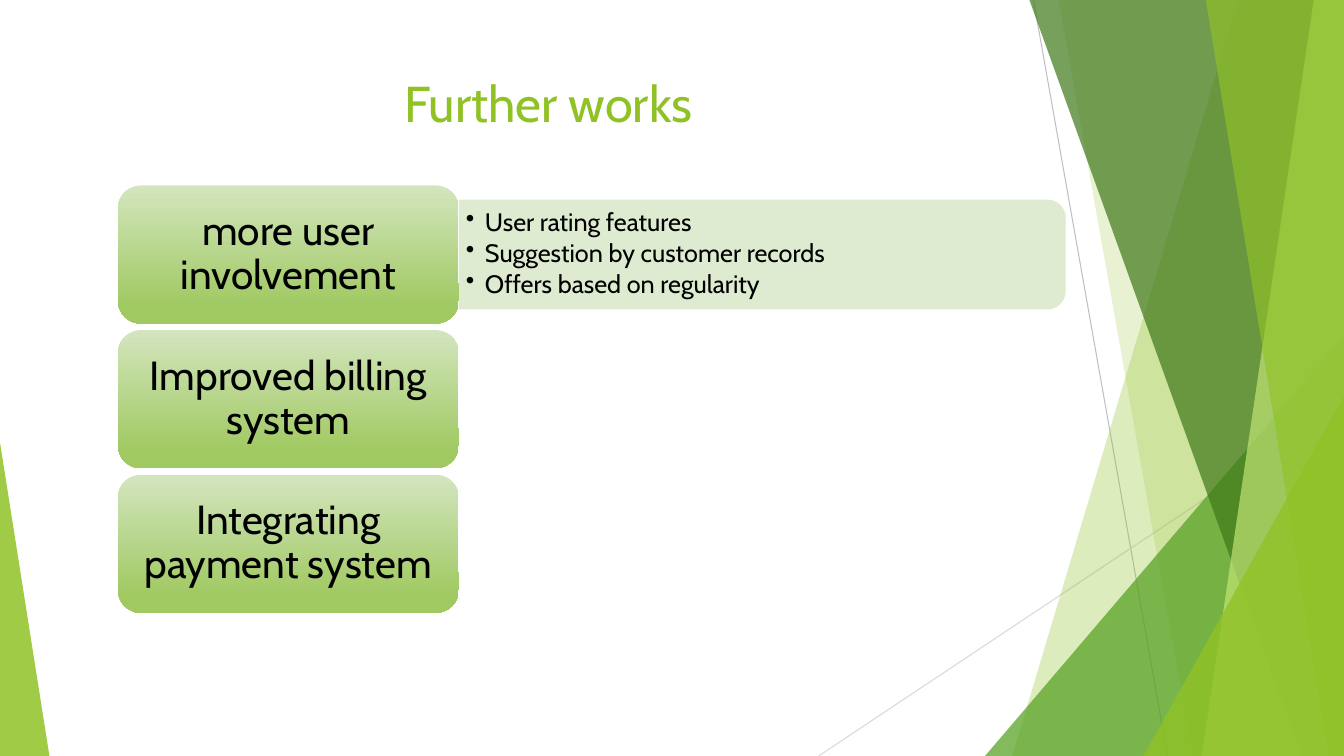
from pptx import Presentation
from pptx.dml.color import RGBColor
from pptx.enum.shapes import MSO_CONNECTOR, MSO_SHAPE as SHAPE
from pptx.enum.text import MSO_ANCHOR as ANCHOR, PP_ALIGN as ALIGN
from pptx.oxml.ns import qn
from pptx.util import Inches, Pt
from lxml.etree import SubElement

W, H = 13.33, 7.5
FONT = "Cabin"
GREEN, PANEL, BLACK = "90C226", "DBE9CD", "000000"

TITLE = "Further works"
TOPICS = ["more user involvement", "Improved billing system",
          "Integrating payment system"]
DETAILS = ["User rating features", "Suggestion by customer records",
           "Offers based on regularity"]

RULES = [((10.25, 0), (11.58, H), "BFBFBF"), ((W, 4.03), (8.12, H), "D9D9D9")]
# (kind, geometry, colour, opacity)
FACETS = [
    ("band", (12.28, 10.04), GREEN, 30),
    ("band", (10.5, 11.83), GREEN, 20),
    ("corner", (9.77, 3.33, 1), "54A021", 72),
    ("band", (10.21, 12.91), "3F7819", 70),
    ("band", (13.03, 11.92), "C0E474", 70),
    ("band", (11.96, 13.18), GREEN, 65),
    ("corner", (11.34, 3.93, 1), GREEN, 80),
    ("corner", (0, 4.39, 0), GREEN, 85),
]
LEFT_CORNER_W = 0.49

CARD_X, CARD_Y, CARD_W, CARD_H, CARD_STEP = 1.17, 1.84, 3.38, 1.37, 1.435
PANEL_W, PANEL_H = 6.02, 1.09


def rgb(value):
    return RGBColor.from_string(value)


def box(x, y, w, h):
    return [Inches(v) for v in (x, y, w, h)]


def paint(sp, color, opacity):
    sp.shadow.inherit = False
    sp.line.fill.background()
    sp.fill.solid()
    sp.fill.fore_color.rgb = rgb(color)
    clr = sp.fill._xPr.find(qn("a:solidFill"))[0]
    SubElement(clr, qn("a:alpha"), val=str(opacity * 1000))


def write(sp, lines, size, color=BLACK, align=ALIGN.LEFT, anchor=ANCHOR.MIDDLE,
          inset=(0.1, 0.05), spacing=1.0, after=0):
    tf = sp.text_frame
    tf.word_wrap = True
    tf.vertical_anchor = anchor
    tf.margin_left = tf.margin_right = Inches(inset[0])
    tf.margin_top = tf.margin_bottom = Inches(inset[1])
    tf.text = "\n".join(lines)
    for p in tf.paragraphs:
        p.alignment = align
        p.line_spacing = spacing
        p.space_after = Pt(after)
        p.font.name, p.font.size = FONT, Pt(size)
        p.font.color.rgb = rgb(color)
    return tf


prs = Presentation()
prs.slide_width, prs.slide_height = Inches(W), Inches(H)
s = prs.slides.add_slide(prs.slide_layouts[6])
shapes = s.shapes

for start, end, color in RULES:
    line = shapes.add_connector(MSO_CONNECTOR.STRAIGHT,
                                *[Inches(v) for v in start + end])
    line.line.color.rgb = rgb(color)
    line.line.width = Pt(0.75)
    SubElement(line._element.spPr, qn("a:effectLst"))

for kind, geometry, color, opacity in FACETS:
    if kind == "band":
        top, bottom = geometry
        outline = shapes.build_freeform(Inches(top), 0, scale=1.0)
        outline.add_line_segments([(Inches(x), Inches(y)) for x, y in
                                   ((W, 0), (W, H), (bottom, H))])
        sp = outline.convert_to_shape()
    else:
        x, y, apex = geometry
        w = W - x if apex else LEFT_CORNER_W
        sp = shapes.add_shape(SHAPE.ISOSCELES_TRIANGLE, *box(x, y, w, H - y))
        sp.adjustments[0] = apex
    paint(sp, color, opacity)

title = shapes.add_textbox(*box(0.74, 0.67, 9.4, 1.44))
write(title, [TITLE], 36, GREEN, ALIGN.CENTER, ANCHOR.TOP)

panel_x = CARD_X + CARD_W
panel_mid = CARD_Y + CARD_H / 2
panel = shapes.add_shape(
    SHAPE.ROUND_2_SAME_RECTANGLE,
    *box(panel_x + (PANEL_W - PANEL_H) / 2, panel_mid - PANEL_W / 2,
         PANEL_H, PANEL_W))
panel.rotation = 90
paint(panel, PANEL, 90)

details = shapes.add_textbox(*box(panel_x, panel_mid - 0.5, PANEL_W - 0.06, 1))
tf = write(details, DETAILS, 18, inset=(0.07, 0.04), spacing=0.9, after=2.7)
for p in tf.paragraphs:
    pPr = p._p.get_or_add_pPr()
    pPr.set("marL", str(Inches(0.19)))
    pPr.set("indent", str(-Inches(0.19)))
    bullet = pPr.makeelement(qn("a:buChar"), {"char": "•"})
    pPr.find(qn("a:defRPr")).addprevious(bullet)

for i, topic in enumerate(TOPICS):
    card = shapes.add_shape(SHAPE.ROUNDED_RECTANGLE, *box(
        CARD_X, CARD_Y + i * CARD_STEP, CARD_W, CARD_H))
    card.shadow.inherit = False
    card.line.fill.background()
    card.fill.gradient()
    card.fill.gradient_angle = 270
    stops = ((0, "D3E5BE"), (0.88, "A0C962"))
    for stop, (position, color) in zip(card.fill.gradient_stops, stops):
        stop.position = position
        stop.color.rgb = rgb(color)
    write(card, [topic], 29, align=ALIGN.CENTER, inset=(0.12, 0.06), spacing=0.9)

prs.save("out.pptx")
